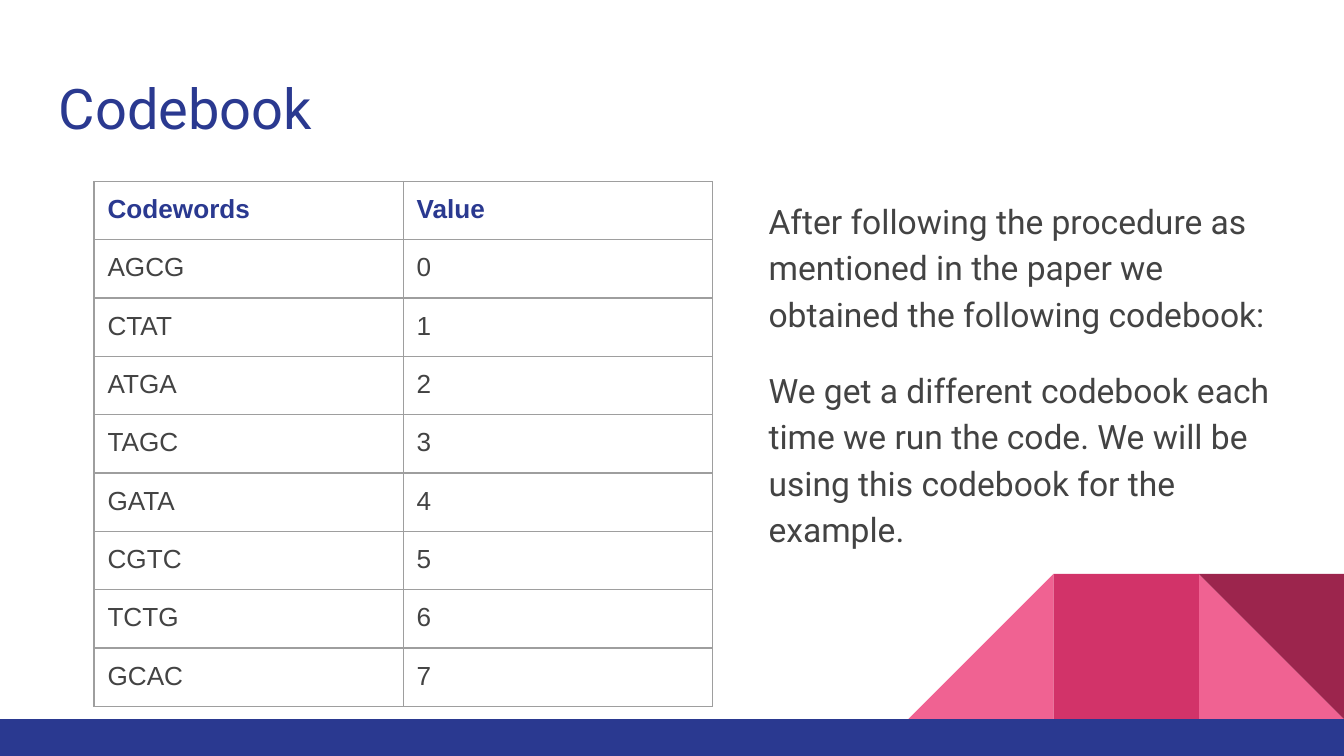
from lxml import etree
from pptx import Presentation, util as u
from pptx.dml.color import RGBColor
from pptx.enum import shapes, text
from pptx.oxml import ns

HUES = {"navy": "2A3990", "ink": "434343", "rule": "9E9E9E",
        "pink": "F06292", "rose": "D23369", "wine": "9C254D"}
FORMS = shapes.MSO_SHAPE
WORDS = ["AGCG", "CTAT", "ATGA", "TAGC", "GATA", "CGTC", "TCTG", "GCAC"]
NOTES = [
    "After following the procedure as mentioned in the paper we obtained the following codebook:",
    "We get a different codebook each time we run the code. We will be using this codebook for the example.",
]


def write(para, words, size=14, font="Arial", hue="ink", bold=False, line=1.0, after=0):
    para.alignment = text.PP_ALIGN.LEFT
    para.line_spacing = line
    para.space_after = u.Pt(after)
    run = para.add_run()
    run.text = words
    run.font.size = u.Pt(size)
    run.font.name = font
    run.font.bold = bold
    run.font.color.rgb = RGBColor.from_string(HUES[hue])


class Deck:
    cols = 100

    def __init__(self):
        self.prs = Presentation()
        self.prs.slide_width = u.Inches(10)
        self.prs.slide_height = self.prs.slide_width * 9 // 16
        self.unit = self.prs.slide_width / self.cols
        self.rows = self.prs.slide_height / self.unit
        self.slide = self.prs.slides.add_slide(self.prs.slide_layouts[6])

    def span(self, *cells):
        return [round(cell * self.unit) for cell in cells]

    def shape(self, form, box, hue, turn=0, flip=False):
        item = self.slide.shapes.add_shape(form, *self.span(*box))
        item.shadow.inherit = False
        item.fill.solid()
        item.fill.fore_color.rgb = RGBColor.from_string(HUES[hue])
        item.line.fill.background()
        item.rotation = turn
        if flip:
            item.element.spPr.xfrm.set("flipH", "1")

    def text(self, box, lines, **style):
        frame = self.slide.shapes.add_textbox(*self.span(*box)).text_frame
        frame.word_wrap = True
        self.inset(frame)
        for i, words in enumerate(lines):
            write(frame.add_paragraph() if i else frame.paragraphs[0], words, **style)

    def inset(self, item):
        gap, = self.span(1)
        item.margin_left = item.margin_right = gap
        item.margin_top = item.margin_bottom = gap

    def edge(self, cell):
        props = cell._tc.get_or_add_tcPr()
        for side in "LRTB":
            line = etree.SubElement(props, ns.qn(f"a:ln{side}"), w=str(u.Pt(0.75)))
            fill = etree.SubElement(line, ns.qn("a:solidFill"))
            etree.SubElement(fill, ns.qn("a:srgbClr"), val=HUES["rule"])

    def table(self, left, top, wide, high, data):
        box = self.span(left, top, wide * len(data[0]), high * len(data))
        grid = self.slide.shapes.add_table(len(data), len(data[0]), *box).table
        grid.first_row = grid.horz_banding = False
        for col in grid.columns:
            col.width, = self.span(wide)
        for r, row in enumerate(data):
            grid.rows[r].height, = self.span(high)
            for c, words in enumerate(row):
                cell = grid.cell(r, c)
                self.edge(cell)
                cell.fill.background()
                self.inset(cell)
                write(cell.text_frame.paragraphs[0], words,
                      hue="ink" if r else "navy", bold=r == 0)


def main():
    deck = Deck()
    side, base = 10.8, 53.5
    tiles = [
        (1, FORMS.RIGHT_TRIANGLE, "pink", 0, False),
        (3, FORMS.RIGHT_TRIANGLE, "pink", 0, True),
        (2, FORMS.RECTANGLE, "rose", 0, False),
        (1, FORMS.RIGHT_TRIANGLE, "wine", 180, False),
    ]
    for step, form, hue, turn, flip in tiles:
        box = (deck.cols - step * side, base - side, side, side)
        deck.shape(form, box, hue, turn, flip)
    deck.shape(FORMS.RECTANGLE, (0, base, deck.cols, deck.rows - base), "navy")

    deck.text((3.4, 4.5, 93.2, 6.6), ["Codebook"], size=30, font="Roboto", hue="navy")
    deck.text((56.2, 13.5, 41.2, 32.9), NOTES, size=18, font="Roboto", line=1.15, after=16)
    data = [("Codewords", "Value")] + [(word, str(i)) for i, word in enumerate(WORDS)]
    deck.table(7, 13.5, 23, 4.28, data)
    deck.prs.save("out.pptx")


if __name__ == "__main__":
    main()
